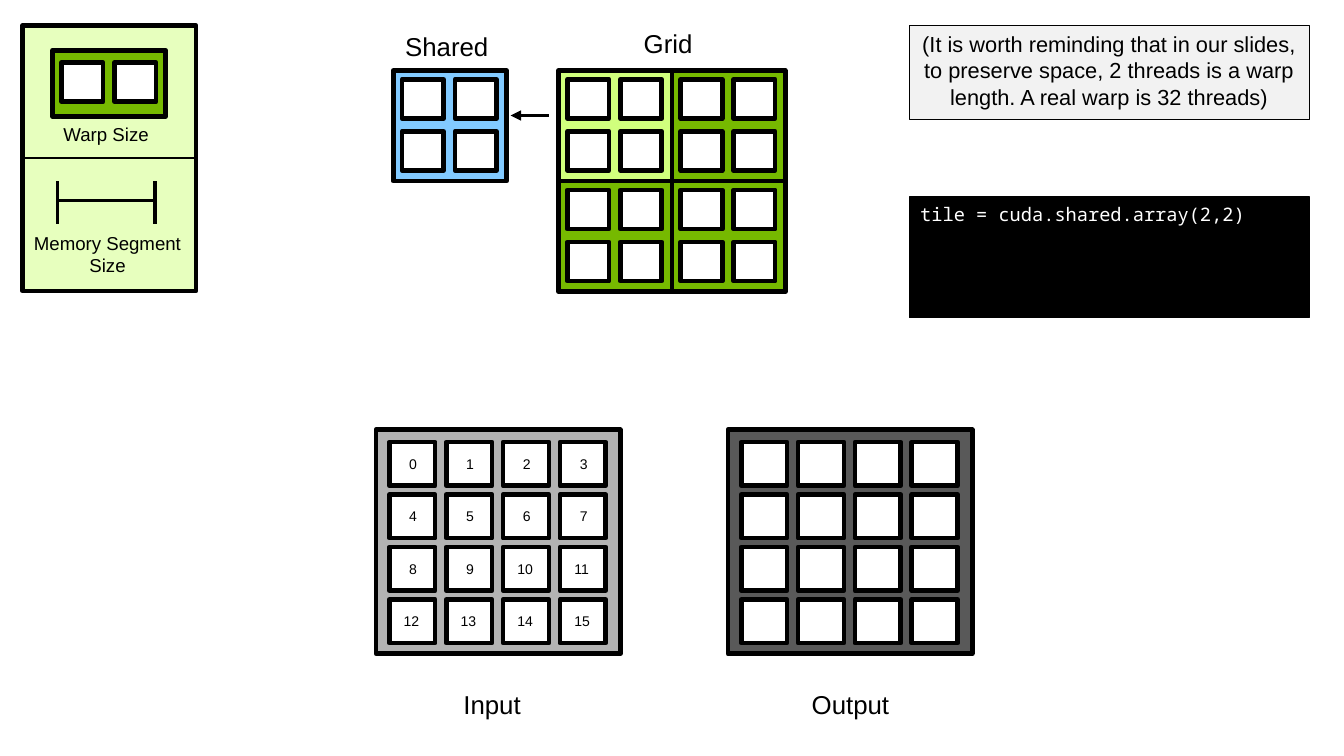
from itertools import product

from pptx import Presentation
from pptx.dml.color import RGBColor as Rgb
from pptx.enum.shapes import MSO_CONNECTOR as Link, MSO_SHAPE as Kind
from pptx.enum.text import MSO_ANCHOR as Anchor, MSO_AUTO_SIZE as Fit, PP_ALIGN as Align
from pptx.oxml.ns import qn
from pptx.util import Cm, Pt
from lxml.etree import SubElement as Sub

HUES = {
    "black": "000000", "white": "FFFFFF", "lime": "D0FF7D", "green": "76B900",
    "pale": "E7FFBE", "blue": "82CAFF", "grey": "B3B3B3", "dark": "595959",
    "note": "F2F2F2",
}
BLOCK = (2.57, 2.51)   # thread block
THREAD = (0.94, 0.89)  # cell in a block
ITEM = (1.04, 0.99)    # cell in an array


def hue(name):
    return Rgb.from_string(HUES[name])


def apply(obj, **values):
    for key, value in values.items():
        setattr(obj, key, value)


def write(shape, text, size, ink="black", face="Arial", align=Align.LEFT, **frame):
    apply(shape.text_frame, **frame)
    para = shape.text_frame.paragraphs[0]
    para.alignment = align
    run = para.add_run()
    run.text = text
    apply(run.font, size=Pt(size), name=face)
    run.font.color.rgb = hue(ink)


def rect(parent, x, y, w, h, fill="white", line=3):
    shape = parent.add_shape(Kind.RECTANGLE, Cm(x), Cm(y), Cm(w), Cm(h))
    shape.shadow.inherit = False
    shape.fill.solid()
    shape.fill.fore_color.rgb = hue(fill)
    shape.line.color.rgb = hue("black")
    shape.line.width = Pt(line)
    return shape


def label(parent, x, y, w, h, text, size=16.6, **style):
    box = parent.add_textbox(Cm(x), Cm(y), Cm(w), Cm(h))
    write(box, text, size, **{"word_wrap": False, "auto_size": Fit.SHAPE_TO_FIT_TEXT, **style})


def rule(parent, x1, y1, x2, y2, width=2.25, arrow=False):
    line = parent.add_connector(Link.STRAIGHT, Cm(x1), Cm(y1), Cm(x2), Cm(y2))
    line.line.color.rgb = hue("black")
    line.line.width = Pt(width)
    props = line.element.spPr
    if arrow:
        Sub(props.find(qn("a:ln")), qn("a:tailEnd"), type="triangle")
    Sub(props, qn("a:effectLst"))
    return line


def cells(parent, x, y, rows, cols, size, step, texts=()):
    """Grid of white squares, numbered when texts are given."""
    w, h = size
    for row, col in product(range(rows), range(cols)):
        left, top = x + col * step[0], y + row * step[1]
        rect(parent, left, top, w, h)
        if texts:
            text = texts[row * cols + col]
            wide = 0.64 if len(text) == 1 else 0.89
            label(parent, left + (w - wide) / 2, top + (h - 0.64) / 2, wide, 0.64,
                  text, 9, vertical_anchor=Anchor.MIDDLE)


def block(shapes, x, y, fill):
    group = shapes.add_group_shape().shapes
    rect(group, x, y, *BLOCK, fill)
    cells(group, x + 0.2, y + 0.2, 2, 2, THREAD, (1.2, 1.18))
    return group


def array(shapes, x, fill, texts=()):
    group = shapes.add_group_shape().shapes
    rect(group, x, 9.75, 5.54, 5.08, fill)
    cells(group, x + 0.3, 10.03, 4, 4, ITEM, (1.29, 1.19), texts)


def legend(shapes):
    group = shapes.add_group_shape().shapes
    panel = rect(group, 0.51, 0.58, 3.94, 6.02, "pale")
    label(group, 0.51, 5.13, 3.86, 1.27, "Memory Segment Size", 12,
          align=Align.CENTER, word_wrap=True)
    left, right = 1.3, 3.51
    rule(group, left, 4.55, right, 4.55)
    for x in (left, right):
        rule(group, x, 4.11, x, 5.08)
    rect(group, 1.19, 1.14, 2.57, 1.5, "green")
    cells(group, 1.4, 1.42, 1, 2, THREAD, (1.2, 0))
    label(group, 1.19, 2.67, 2.57, 0.76, "Warp Size", 12)
    split = rule(group, 0.51, 3.59, 4.45, 3.59, 1.5)
    split.begin_connect(panel, 1)
    split.end_connect(panel, 3)


def main():
    deck = Presentation()
    apply(deck, slide_width=Cm(30.48), slide_height=Cm(17.15))
    shapes = deck.slides.add_slide(deck.slide_layouts[6]).shapes

    for row, col in product(range(2), range(2)):
        block(shapes, 12.67 + col * BLOCK[0], 1.6 + row * BLOCK[1],
              "green" if row or col else "lime")
    label(shapes, 14.35, 0.51, 1.8, 0.97, "Grid")
    label(shapes, 10.26, 15.49, 2.01, 0.97, "Input")
    label(shapes, 18.16, 15.49, 2.41, 0.97, "Output")

    legend(shapes)
    array(shapes, 16.51, "dark")
    array(shapes, 8.53, "grey", [str(n) for n in range(16)])

    shared = block(shapes, 8.92, 1.6, "blue")
    label(shared, 8.94, 0.58, 2.41, 0.97, "Shared")
    rule(shapes, 12.45, 2.62, 11.58, 2.62, arrow=True)

    code = rect(shapes, 20.62, 4.47, 9.07, 2.74, "black", 0.75)
    write(code, "tile = cuda.shared.array(2,2)", 12, "white", "Noto Sans Mono",
          word_wrap=True, vertical_anchor=Anchor.TOP)
    note = rect(shapes, 20.62, 0.58, 9.07, 2.13, "note", 0.75)
    write(note, "(It is worth reminding that in our slides, to preserve space, "
          "2 threads is a warp length. A real warp is 32 threads)", 14,
          align=Align.CENTER, word_wrap=True, vertical_anchor=Anchor.TOP)

    deck.save("out.pptx")


if __name__ == "__main__":
    main()
